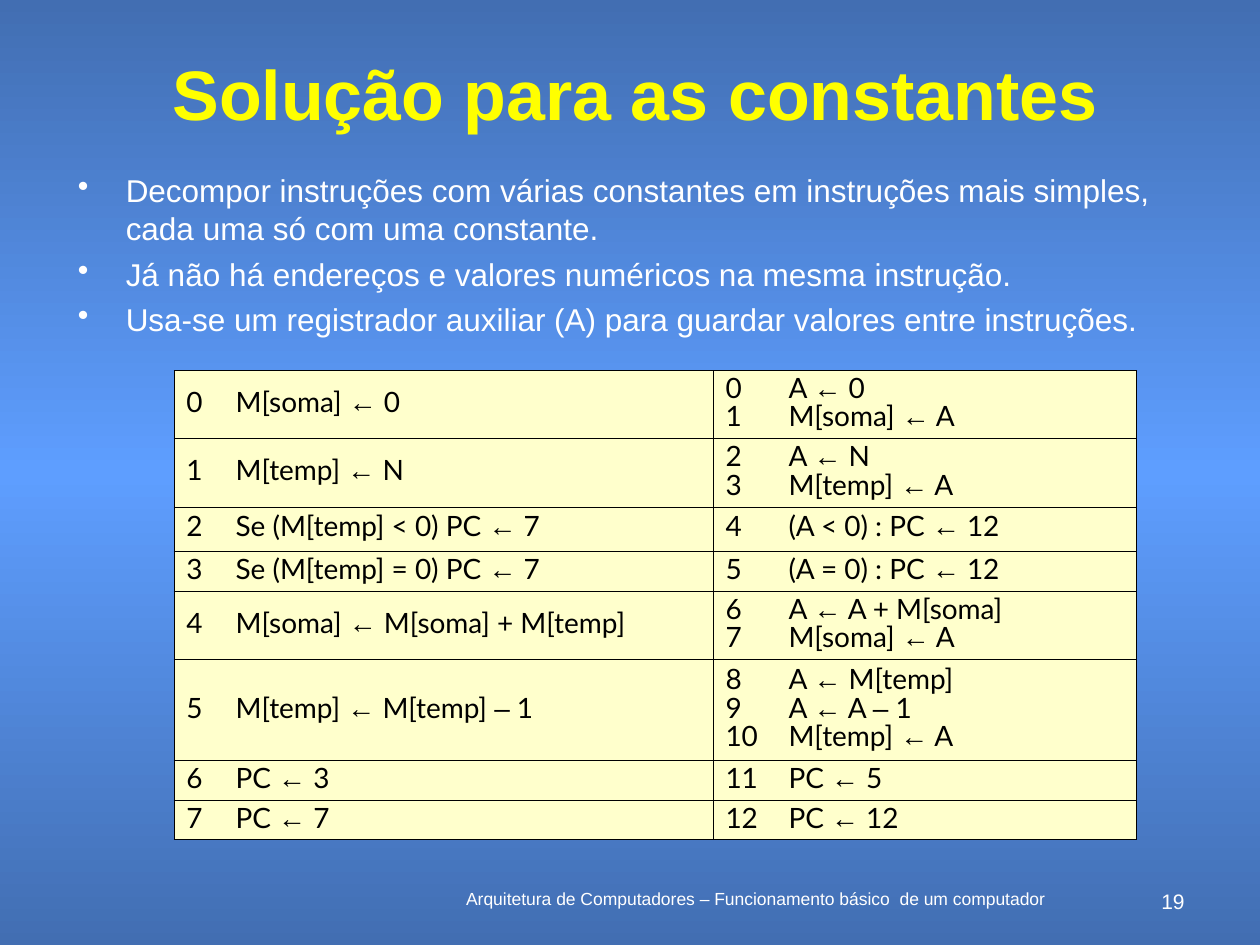
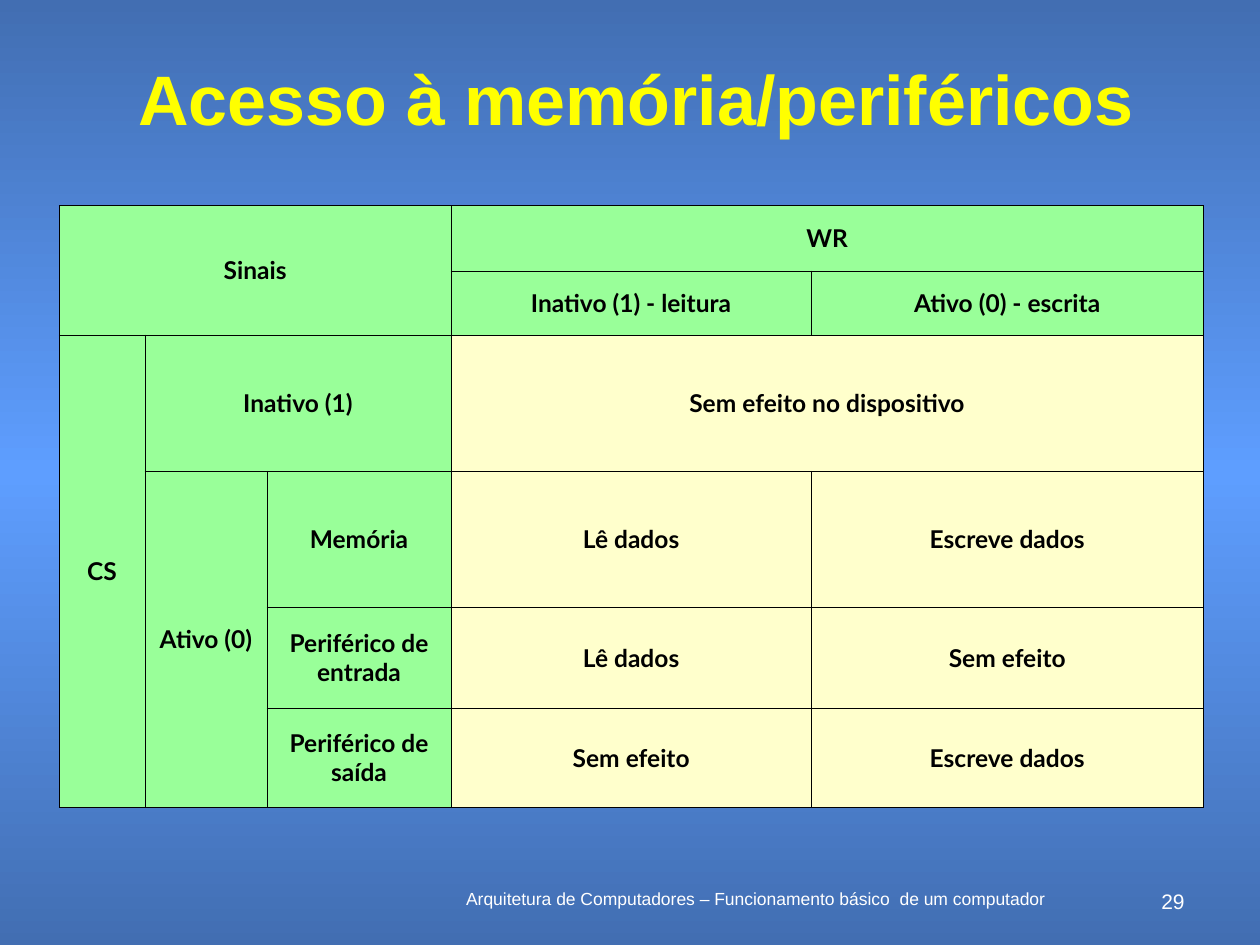
from itertools import count, groupby

from lxml import etree
from pptx import Presentation
from pptx.dml.color import RGBColor
from pptx.enum.text import MSO_ANCHOR, PP_ALIGN
from pptx.oxml.ns import qn
from pptx.util import Inches, Pt

LEFT, CENTER, RIGHT = PP_ALIGN.LEFT, PP_ALIGN.CENTER, PP_ALIGN.RIGHT
TOP, MIDDLE = MSO_ANCHOR.TOP, MSO_ANCHOR.MIDDLE

WIDTH, HEIGHT = Inches(10), Inches(7.5)
BLANK_LAYOUT = 6
COLOURS = {
    "edge": "426EB2", "glow": "5E9EFF", "title": "FFFF00", "light": "FFFFFF",
    "ink": "000000", "cream": "FFFFCC", "green": "99FF99",
}

# Text styles: font attributes, with the colour by name
TITLE = {"name": "Arial", "size": Pt(40), "bold": True, "color": "title"}
BODY = {"name": "Arial", "size": Pt(18), "color": "light"}
FOOTER = {"name": "Arial", "size": Pt(10), "color": "light"}
NUMBER = {"name": "Arial", "size": Pt(12), "color": "light"}
CODE = {"name": "Lato", "size": Pt(16), "color": "ink"}
SIGNAL = {"name": "Lato", "size": Pt(14), "bold": True, "color": "ink"}

# Boxes as percentages of the slide: left, top, width, height
FOOTER_BOX = (33.3, 93.33, 53.3, 3.33)
NUMBER_BOX = (90.8, 93.33, 4.2, 2.27)
FOOTER_TEXT = "Arquitetura de Computadores – Funcionamento básico  de um computador"

SYMBOLS = "←–"  # drawn in Arial inside the code

CONSTANT_POINTS = [
    "Decompor instruções com várias constantes em instruções mais simples, "
    "cada uma só com uma constante.",
    "Já não há endereços e valores numéricos na mesma instrução.",
    "Usa-se um registrador auxiliar (A) para guardar valores entre instruções.",
]

# Each instruction, its simpler replacements and the height share of its row
DECOMPOSITION = [
    ("M[soma] ← 0", ["A ← 0", "M[soma] ← A"], 54),
    ("M[temp] ← N", ["A ← N", "M[temp] ← A"], 54),
    ("Se (M[temp] < 0) PC ← 7", ["(A < 0) : PC ← 12"], 35),
    ("Se (M[temp] = 0) PC ← 7", ["(A = 0) : PC ← 12"], 32),
    ("M[soma] ← M[soma] + M[temp]", ["A ← A + M[soma]", "M[soma] ← A"], 54),
    ("M[temp] ← M[temp] – 1", ["A ← M[temp]", "A ← A – 1", "M[temp] ← A"], 80),
    ("PC ← 3", ["PC ← 5"], 31),
    ("PC ← 7", ["PC ← 12"], 31),
]

# Row, column, rows spanned, columns spanned, text
SIGNAL_CELLS = [
    (0, 0, 2, 3, "Sinais"),
    (0, 3, 1, 2, "WR"),
    (1, 3, 1, 1, "Inativo (1) - leitura"),
    (1, 4, 1, 1, "Ativo (0) - escrita"),
    (2, 0, 4, 1, "CS"),
    (2, 1, 1, 2, "Inativo (1)"),
    (2, 3, 1, 2, "Sem efeito no dispositivo"),
    (3, 1, 3, 1, "Ativo (0)"),
    (3, 2, 1, 1, "Memória"),
    (3, 3, 1, 1, "Lê dados"),
    (3, 4, 1, 1, "Escreve dados"),
    (4, 2, 1, 1, "Periférico de entrada"),
    (4, 3, 1, 1, "Lê dados"),
    (4, 4, 1, 1, "Sem efeito"),
    (5, 2, 1, 1, "Periférico de saída"),
    (5, 3, 1, 1, "Sem efeito"),
    (5, 4, 1, 1, "Escreve dados"),
]


def rgb(colour):
    return RGBColor.from_string(COLOURS[colour])


def place(box):
    """Turn percentages of the slide into lengths."""
    return [int(share * side / 100) for share, side in zip(box, (WIDTH, HEIGHT) * 2)]


def set_all(target, values):
    for name, value in values.items():
        setattr(target, name, value)


def add_xml(parent, tag, **attributes):
    return etree.SubElement(parent, qn(tag), attributes)


def add_colour(parent, colour):
    add_xml(parent, "a:srgbClr", val=COLOURS[colour])


def add_run(paragraph, text, style):
    run = paragraph.add_run()
    run.text = text
    set_all(run.font, {k: v for k, v in style.items() if k != "color"})
    run.font.color.rgb = rgb(style["color"])


def nth_paragraph(frame, index):
    return frame.add_paragraph() if index else frame.paragraphs[0]


# Parts that the slides share
def paint_background(slide):
    fill = slide.background.fill
    fill.gradient()
    fill.gradient_angle = 90
    stops = slide.background._cSld.find(".//" + qn("a:gsLst"))
    for stop in list(stops):
        stops.remove(stop)
    for percent, colour in ((0, "edge"), (50, "glow"), (100, "edge")):
        add_colour(add_xml(stops, "a:gs", pos=str(percent * 1000)), colour)


def add_text(slide, box, lines, style, align=LEFT, anchor=TOP, **spacing):
    frame = slide.shapes.add_textbox(*place(box)).text_frame
    set_all(frame, {"word_wrap": True, "vertical_anchor": anchor})
    for index, line in enumerate(lines):
        paragraph = nth_paragraph(frame, index)
        set_all(paragraph, {"alignment": align, **spacing})
        add_run(paragraph, line, style)
    return frame


def add_bullets(slide, box, lines):
    frame = add_text(slide, box, lines, BODY, space_before=Pt(4.5))
    for paragraph in frame.paragraphs:
        props = paragraph._p.get_or_add_pPr()
        indent = Inches(0.38)
        props.set("marL", str(indent))
        props.set("indent", str(-indent))
        add_colour(add_xml(props, "a:buClr"), "light")
        add_xml(props, "a:buChar", char="•")


def start_slide(deck, title, title_box, number, **title_spacing):
    slide = deck.slides.add_slide(deck.slide_layouts[BLANK_LAYOUT])
    paint_background(slide)
    add_text(slide, FOOTER_BOX, [FOOTER_TEXT], FOOTER, CENTER)
    add_text(slide, NUMBER_BOX, [str(number)], NUMBER, RIGHT)
    add_text(slide, title_box, [title], TITLE, CENTER, MIDDLE, **title_spacing)
    return slide


# Tables
def format_cell(cell, colour, side_margin):
    set_all(cell, {
        "vertical_anchor": MIDDLE,
        "margin_left": side_margin, "margin_right": side_margin,
        "margin_top": Inches(0.05), "margin_bottom": Inches(0.05),
    })
    cell.fill.solid()
    cell.fill.fore_color.rgb = rgb(colour)
    props = cell._tc.get_or_add_tcPr()
    for order, side in enumerate("LRTB"):
        border = add_xml(props, f"a:ln{side}", w=str(Pt(0.45)))
        add_colour(add_xml(border, "a:solidFill"), "ink")
        props.insert(order, border)


def add_grid(slide, box, column_shares, row_shares, side_margin, colour_at):
    """Add a table whose columns and rows divide the box by their shares."""
    left, top, width, height = place(box)
    table = slide.shapes.add_table(
        len(row_shares), len(column_shares), left, top, width, height).table
    set_all(table, {"first_row": False, "horz_banding": False})
    for column, share in zip(table.columns, column_shares):
        column.width = int(width * share / sum(column_shares))
    for row, share in zip(table.rows, row_shares):
        row.height = int(height * share / sum(row_shares))
    for r in range(len(row_shares)):
        for c in range(len(column_shares)):
            format_cell(table.cell(r, c), colour_at(r, c), side_margin)
    return table


def write_code(cell, instructions, numbers, tab):
    for index, instruction in enumerate(instructions):
        paragraph = nth_paragraph(cell.text_frame, index)
        set_all(paragraph, {"line_spacing": 0.8, "space_before": Pt(1)})
        tabs = add_xml(paragraph._p.get_or_add_pPr(), "a:tabLst")
        add_xml(tabs, "a:tab", pos=str(Inches(tab)), algn="l")
        line = f"{next(numbers)}\t{instruction}"
        for is_symbol, letters in groupby(line, lambda letter: letter in SYMBOLS):
            font = "Arial" if is_symbol else "Lato"
            add_run(paragraph, "".join(letters), {**CODE, "name": font})


def build_constants(deck):
    slide = start_slide(deck, "Solução para as constantes", (7.5, 5.33, 85.8, 8.93), 19)
    add_bullets(slide, (5.2, 17.47, 88.3, 21.87), CONSTANT_POINTS)
    table = add_grid(slide, (13.8, 39.2, 76.4, 49.6), (56, 44),
                     [share for _, _, share in DECOMPOSITION],
                     Inches(0.1), lambda r, c: "cream")
    before_numbers, after_numbers = count(), count()
    for r, (before, after, _) in enumerate(DECOMPOSITION):
        write_code(table.cell(r, 0), [before], before_numbers, 0.39)
        write_code(table.cell(r, 1), after, after_numbers, 0.5)


def build_access(deck):
    slide = start_slide(deck, "Acesso à memória/periféricos", (5.2, 6.67, 90.5, 8.93),
                        29, line_spacing=0.8)
    table = add_grid(slide, (4.7, 21.73, 90.8, 63.73), (68, 97, 146, 286, 311),
                     (52, 51, 108, 108, 80, 79), Inches(0.04),
                     lambda r, c: "green" if r < 2 or c < 3 else "cream")
    for r, c, rows, columns, text in SIGNAL_CELLS:
        cell = table.cell(r, c)
        if rows * columns > 1:
            cell.merge(table.cell(r + rows - 1, c + columns - 1))
        paragraph = cell.text_frame.paragraphs[0]
        paragraph.alignment = CENTER
        add_run(paragraph, text, SIGNAL)


def main():
    deck = Presentation()
    set_all(deck, {"slide_width": WIDTH, "slide_height": HEIGHT})
    build_constants(deck)
    build_access(deck)
    deck.save("out.pptx")


if __name__ == "__main__":
    main()
